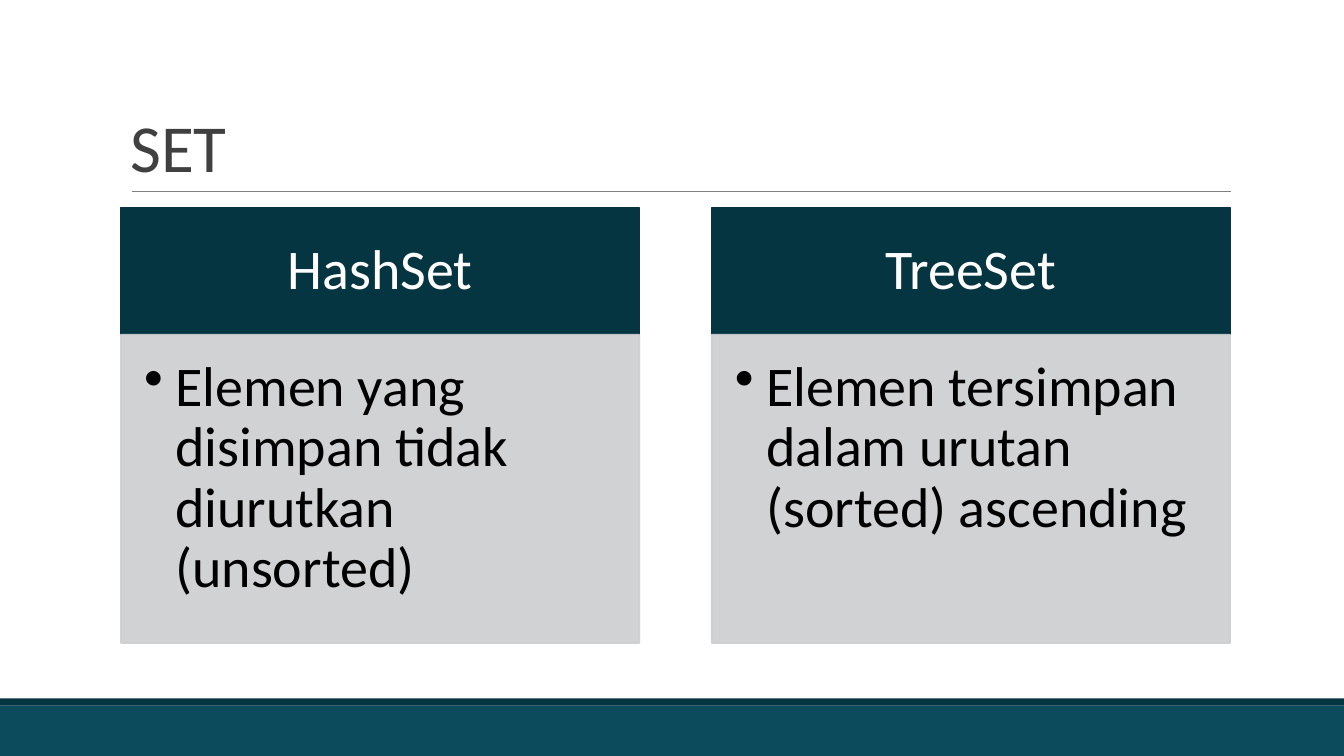
from dataclasses import dataclass

from lxml.etree import SubElement
from pptx import Presentation
from pptx.dml.color import RGBColor
from pptx.enum.shapes import MSO_CONNECTOR, MSO_SHAPE
from pptx.enum.text import MSO_ANCHOR, PP_ALIGN
from pptx.oxml.ns import qn
from pptx.util import Inches, Pt

FONT = "Calibri"
DARK_TEAL, TEAL, PALE_GRAY = "063542", "0C4B5C", "CCCECF"
COLUMN_TOP, COLUMN_WIDTH = 2.06, 5.14
HEADING_HEIGHT, DETAIL_HEIGHT = 1.26, 3.06
COLUMN_LEFT, COLUMN_STEP = 1.2, 5.86


@dataclass
class SetKind:
    heading: str
    detail: str


SET_KINDS = [
    SetKind("HashSet", "Elemen yang disimpan tidak diurutkan (unsorted)"),
    SetKind("TreeSet", "Elemen tersimpan dalam urutan (sorted) ascending"),
]


def rgb(value: str) -> RGBColor:
    return RGBColor.from_string(value)


def add_block(slide, left: float, top: float, width: float, height: float,
              color: str, outlined: bool = False):
    block = slide.shapes.add_shape(MSO_SHAPE.RECTANGLE, Inches(left), Inches(top),
                                   Inches(width), Inches(height))
    block.shadow.inherit = False
    block.fill.solid()
    block.fill.fore_color.rgb = rgb(color)
    if outlined:
        block.line.color.rgb = rgb(color)
        block.line.width = Pt(1.25)
    else:
        block.line.fill.background()
    return block


def write(shape, text: str, size: float, color: str, anchor: MSO_ANCHOR,
          align: PP_ALIGN, spacing: float, insets: tuple, bulleted: bool = False):
    frame = shape.text_frame
    frame.word_wrap = True
    frame.vertical_anchor = anchor
    (frame.margin_left, frame.margin_top,
     frame.margin_right, frame.margin_bottom) = map(Inches, insets)
    paragraph = frame.paragraphs[0]
    paragraph.text = text
    paragraph.alignment = align
    paragraph.line_spacing = spacing
    if bulleted:
        properties = paragraph._p.get_or_add_pPr()
        properties.set("marL", str(Inches(0.31)))
        properties.set("indent", str(-Inches(0.31)))
        SubElement(properties, qn("a:buChar"), char="•")
    paragraph.font.name = FONT
    paragraph.font.size = Pt(size)
    paragraph.font.color.rgb = rgb(color)
    return paragraph


def add_set_column(slide, left: float, kind: SetKind) -> None:
    heading = add_block(slide, left, COLUMN_TOP, COLUMN_WIDTH, HEADING_HEIGHT,
                        DARK_TEAL, outlined=True)
    write(heading, kind.heading, 40, "FFFFFF", MSO_ANCHOR.MIDDLE, PP_ALIGN.CENTER,
          0.9, (0.31, 0.18, 0.31, 0.18))

    detail = add_block(slide, left, COLUMN_TOP + HEADING_HEIGHT, COLUMN_WIDTH,
                       DETAIL_HEIGHT, PALE_GRAY, outlined=True)
    # Fill and outline are 90 % opaque
    for tint in detail._element.spPr.iter(qn("a:srgbClr")):
        SubElement(tint, qn("a:alpha"), val="90000")
    write(detail, kind.detail, 40, "000000", MSO_ANCHOR.TOP, PP_ALIGN.LEFT,
          0.9, (0.23, 0.23, 0.31, 0.35), bulleted=True)


def main() -> None:
    deck = Presentation()
    deck.slide_width, deck.slide_height = Inches(13.33), Inches(7.5)
    slide = deck.slides.add_slide(deck.slide_layouts[6])

    # Footer bands
    add_block(slide, 0, 7, 13.33, 0.5, TEAL)
    add_block(slide, 0, 6.93, 13.33, 0.07, DARK_TEAL)

    # Title and its rule
    title_rule = slide.shapes.add_connector(MSO_CONNECTOR.STRAIGHT, Inches(1.31),
                                            Inches(1.9), Inches(12.21), Inches(1.9))
    title_rule.line.color.rgb = rgb("808080")
    title_rule.line.width = Pt(0.5)
    SubElement(title_rule._element.spPr, qn("a:effectLst"))
    title = slide.shapes.add_textbox(Inches(1.2), Inches(0.31), Inches(11), Inches(1.59))
    title_line = write(title, "SET", 48, "404040", MSO_ANCHOR.BOTTOM, PP_ALIGN.LEFT,
                       0.85, (0.1, 0.05, 0.1, 0.05))
    title_line.runs[0].font._element.set("spc", "-50")

    # One column for each kind of set
    for index, kind in enumerate(SET_KINDS):
        add_set_column(slide, COLUMN_LEFT + index * COLUMN_STEP, kind)

    deck.save("out.pptx")


if __name__ == "__main__":
    main()
